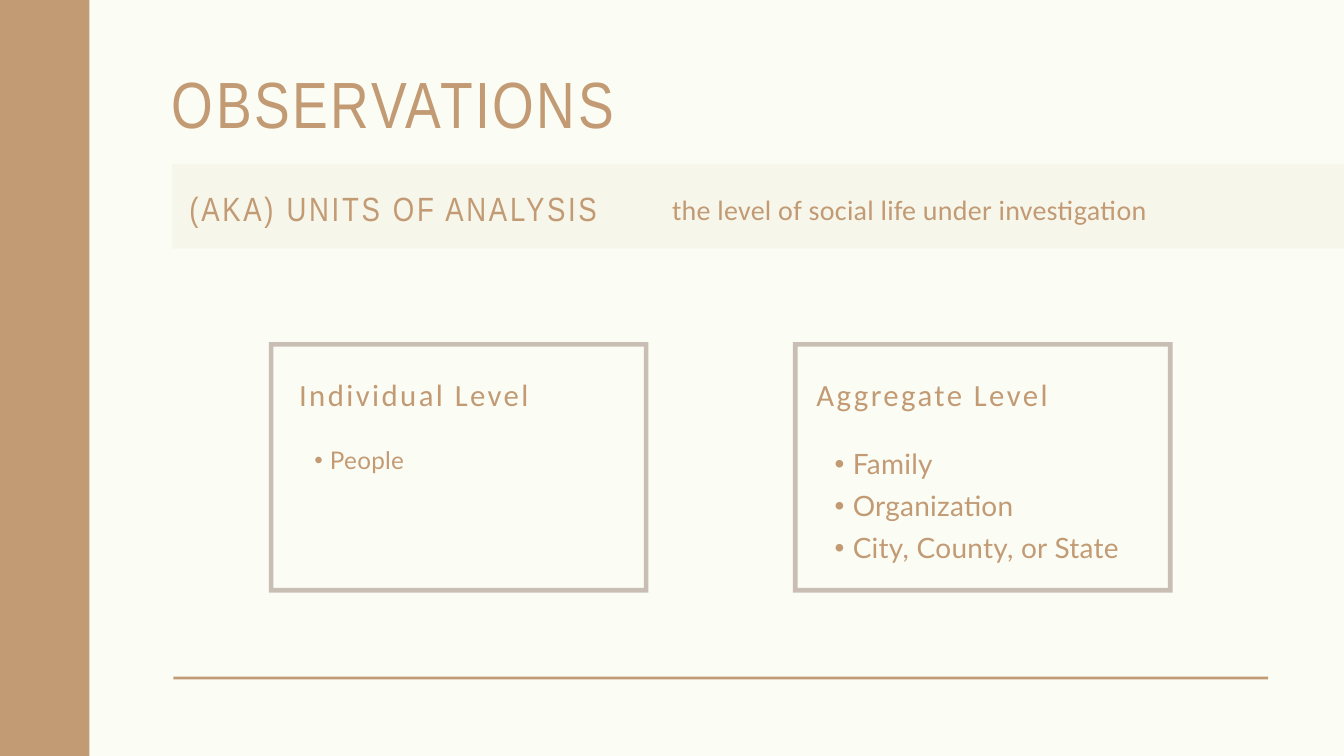
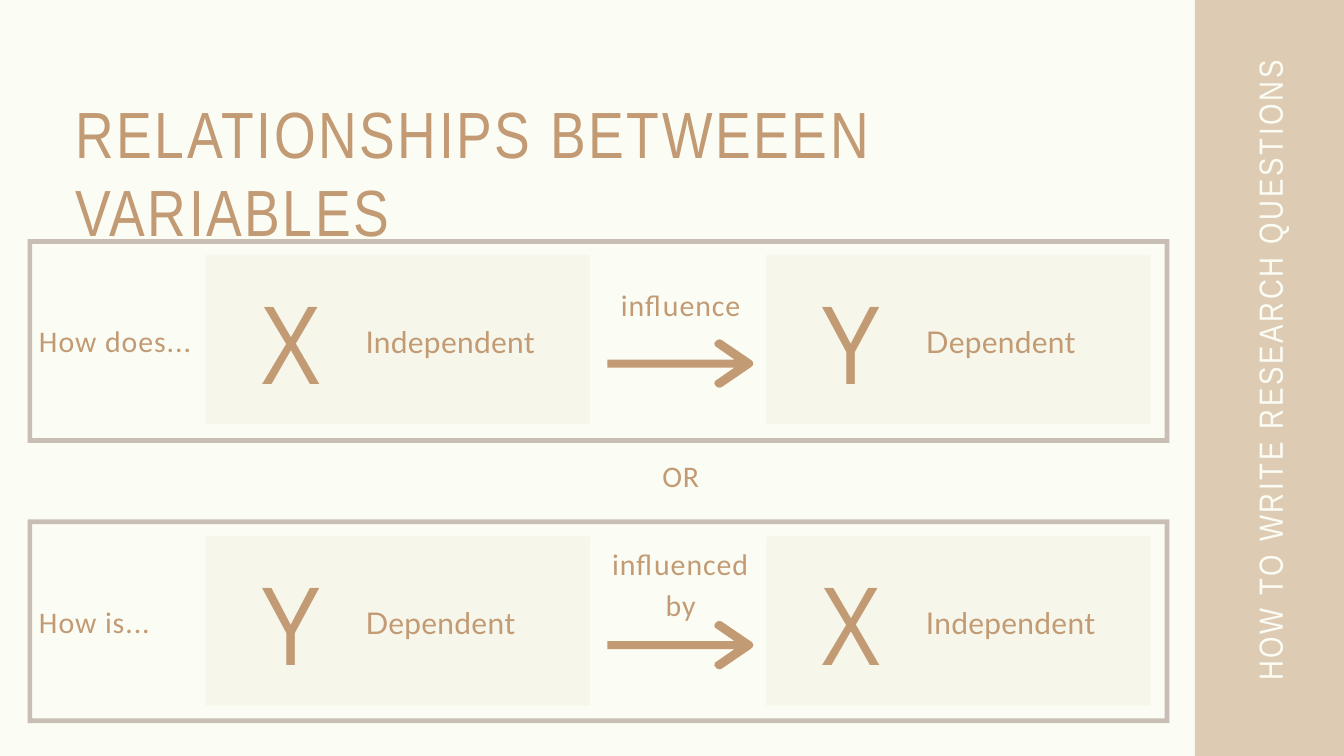
from lxml import etree
from pptx import Presentation
from pptx.dml.color import RGBColor
from pptx.enum.shapes import MSO_SHAPE
from pptx.enum.text import MSO_AUTO_SIZE, PP_ALIGN
from pptx.oxml.ns import qn
from pptx.util import Pt

RECTANGLE = MSO_SHAPE.RECTANGLE
GROW = MSO_AUTO_SIZE.SHAPE_TO_FIT_TEXT
LEFT, CENTER = PP_ALIGN.LEFT, PP_ALIGN.CENTER

PX = 9144
WIDTH, HEIGHT = 2000, 1125
FRAME_THICKNESS = 7
COLORS = {"paper": "FBFDF4", "tan": "C29A74", "brown": "532E1D"}
STYLES = {
    "title": ("Arial Narrow", 70, 84, 2.8),
    "band": ("Arial Narrow", 36, 46.8, 2.9),
    "definition": ("Calibri", 30, 45, 0.3),
    "level": ("Calibri", 33, 42.9, 2.6),
    "small_list": ("Lato", 26, 39, 0.3),
    "large_list": ("Lato", 30, 45, 0.3),
    "role": ("Lato", 32, 48, 0.3),
    "letter": ("Arial Narrow", 120, 144, 4.8),
    "phrase": ("Calibri", 32, 43.2, 1),
}
ARROW_HALF = [(217, 0), (216, -3), (214, -5), (170, -35), (167, -36), (163, -35),
              (161, -33), (159, -30), (160, -26), (163, -24), (189, -6), (0, -6)]
ROLES = {"X": "Independent", "Y": "Dependent"}


class SlideBuilder:
    """Draws styled elements on the current slide, measured in px."""

    def __init__(self):
        self.presentation = Presentation()
        self.presentation.slide_width = WIDTH * PX
        self.presentation.slide_height = HEIGHT * PX
        self.slide = None

    def new_slide(self):
        self.slide = self.presentation.slides.add_slide(self.presentation.slide_layouts[6])
        fill = self.slide.background.fill
        fill.solid()
        fill.fore_color.rgb = RGBColor.from_string(COLORS["paper"])

    def paint(self, shape, color, opacity=100):
        shape.shadow.inherit = False
        shape.line.fill.background()
        shape.fill.solid()
        shape.fill.fore_color.rgb = RGBColor.from_string(COLORS[color])
        if opacity < 100:
            value = shape._element.spPr.find(f".//{qn('a:srgbClr')}")
            etree.SubElement(value, qn("a:alpha")).set("val", str(opacity * 1000))

    def block(self, left, top, width, height, opacity=100):
        shape = self.slide.shapes.add_shape(
            RECTANGLE, left * PX, top * PX, width * PX, height * PX)
        self.paint(shape, "tan", opacity)

    def frame(self, left, top, width, height):
        right, bottom = left + width, top + height
        inset = FRAME_THICKNESS
        builder = self.slide.shapes.build_freeform(left, top, PX)
        builder.add_line_segments([(left, bottom), (right, bottom), (right, top)])
        builder.move_to(right - inset, bottom - inset)
        builder.add_line_segments([(left + inset, bottom - inset), (left + inset, top + inset),
                                   (right - inset, top + inset)])
        self.paint(builder.convert_to_shape(), "brown", 30)

    def arrow(self, left, axis):
        lower_half = [(x, -y) for x, y in reversed(ARROW_HALF[1:])]
        points = [(left + x, axis + y) for x, y in ARROW_HALF + lower_half]
        builder = self.slide.shapes.build_freeform(*points[0], PX)
        builder.add_line_segments(points[1:])
        self.paint(builder.convert_to_shape(), "tan")

    def text(self, left, top, width, height, lines, style, color="tan",
             align=LEFT, indent=0, rotation=0):
        font_name, size, line_height, tracking = STYLES[style]
        shape = self.slide.shapes.add_textbox(left * PX, top * PX, width * PX, height * PX)
        shape.rotation = rotation
        frame = shape.text_frame
        frame.margin_left = frame.margin_top = frame.margin_right = frame.margin_bottom = 0
        frame.word_wrap = True
        frame.auto_size = GROW
        frame.text = lines
        for paragraph in frame.paragraphs:
            paragraph.alignment = align
            paragraph.line_spacing = Pt(line_height)
            if indent:
                self.bullet(paragraph, indent)
            for run in paragraph.runs:
                run.font.name = font_name
                run.font.size = Pt(size)
                run.font.color.rgb = RGBColor.from_string(COLORS[color])
                run.font._element.set("spc", str(round(tracking * 100)))

    def bullet(self, paragraph, indent):
        paragraph.level = 1
        properties = paragraph._p.get_or_add_pPr()
        properties.set("marL", str(indent * 2 * PX))
        properties.set("indent", str(-indent * PX))
        etree.SubElement(properties, qn("a:buFont")).set("typeface", "Arial")
        etree.SubElement(properties, qn("a:buChar")).set("char", "•")

    def variable(self, left, top, letter):
        self.block(left, top, 572, 252, 7)
        self.text(left + 238, top + 89, 334, 60, ROLES[letter], "role")
        self.text(left + 26, top + 26, 202, 200, letter, "letter", align=CENTER)


def draw_observations(builder):
    builder.new_slide()
    builder.text(256, 94, 1614, 116, "OBSERVATIONS", "title")
    builder.block(256, 244, 1790, 126, 7)
    builder.text(282, 274, 1527, 63, "(AKA) UNITS OF ANALYSIS", "band")
    builder.text(1000, 274, 729, 60, "the level of social life under investigation", "definition")
    builder.block(-20, -25, 153, 1170)
    builder.block(258, 1007, 1629, 4)
    levels = [
        (400, 445, "Individual Level", "People", "small_list", 23),
        (1180, 1215, "Aggregate Level", "Family\nOrganization\nCity, County, or State",
         "large_list", 27),
    ]
    for frame_left, text_left, heading, examples, style, indent in levels:
        builder.frame(frame_left, 509, 565, 373)
        builder.text(text_left, 554, 495, 57, heading, "level")
        builder.text(text_left, 652, 495, 50, examples, style, indent=indent)


def draw_relationships(builder):
    builder.new_slide()
    builder.block(1778, -29, 249, 1182, 50)
    builder.text(112, 138, 1546, 116, "RELATIONSHIPS BETWEEEN VARIABLES", "title")
    questions = [
        (356, 379, "How does...", "X", "influence", 420, "Y"),
        (773, 798, "How is...", "Y", "influenced by", 806, "X"),
    ]
    for frame_top, top, opening, first, verb, verb_top, second in questions:
        builder.frame(41, frame_top, 1699, 303)
        builder.variable(1140, top, second)
        builder.variable(306, top, first)
        builder.text(58, top + 94, 248, 59, opening, "phrase")
        builder.text(904, verb_top, 218, 59, verb, "phrase", align=CENTER)
        builder.arrow(904, top + 162)
    builder.text(1417, 512, 938, 64, "HOW TO WRITE RESEARCH QUESTIONS", "band",
                 color="paper", rotation=270)
    builder.text(889, 675, 248, 59, "OR", "phrase", align=CENTER)


def main():
    builder = SlideBuilder()
    draw_observations(builder)
    draw_relationships(builder)
    builder.presentation.save("out.pptx")


if __name__ == "__main__":
    main()
